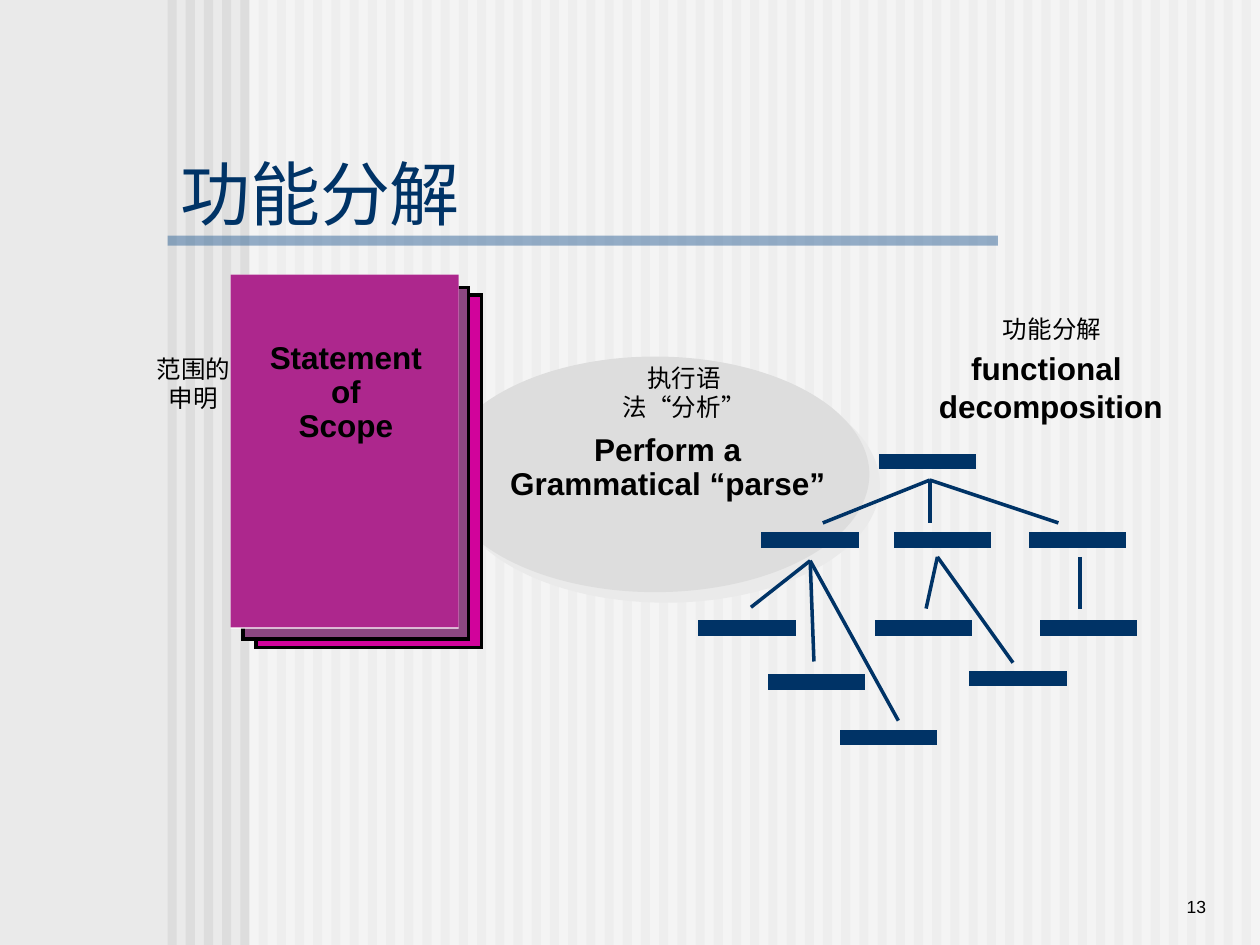
import pptx
import pptx.util
import pptx.dml.color
import pptx.enum.shapes
import pptx.enum.text
import pptx.oxml
import pptx.oxml.ns

COLORS = {"paper": "EAEAEA", "stripe": "DDDDDD", "white": "FFFFFF", "rule": "336699",
          "navy": "003366", "black": "000000", "pink": "D1039B", "plum": "8C4881",
          "magenta": "AD278D"}
COLS, ROWS = 100, 75
CJK = "Noto Sans CJK SC"
SHAPE = pptx.enum.shapes.MSO_SHAPE
ALIGN = pptx.enum.text.PP_ALIGN
ANCHOR = pptx.enum.text.MSO_ANCHOR

prs = pptx.Presentation()
prs.slide_width, prs.slide_height = pptx.util.Inches(10), pptx.util.Inches(7.5)


def col(n):
    return round(prs.slide_width * n / COLS)


def row(n):
    return round(prs.slide_height * n / ROWS)


def place(box):
    x, y, w, h = box
    return col(x), row(y), col(w), row(h)


def rgb(name):
    return pptx.dml.color.RGBColor.from_string(COLORS[name])


def sub(parent, tag, **attrs):
    el = parent.makeelement(pptx.oxml.ns.qn(tag), attrs)
    parent.append(el)
    return el


def add_block(s, box, fill, kind=SHAPE.RECTANGLE, line=None, width=1, alpha=None):
    sp = s.shapes.add_shape(kind, *place(box))
    sp.shadow.inherit = False
    sp.fill.solid()
    sp.fill.fore_color.rgb = rgb(fill)
    if alpha:
        color = sp._element.spPr.find(".//" + pptx.oxml.ns.qn("a:srgbClr"))
        sub(color, "a:alpha", val=str(alpha * 1000))
    if line:
        sp.line.color.rgb = rgb(line)
        sp.line.width = pptx.util.Pt(width)
        sub(sp._element.spPr.find(pptx.oxml.ns.qn("a:ln")), "a:miter", lim="800000")
    else:
        sp.line.fill.background()
    return sp


def add_branch(s, start, end):
    cn = s.shapes.add_connector(pptx.enum.shapes.MSO_CONNECTOR.STRAIGHT,
                                col(start[0]), row(start[1]), col(end[0]), row(end[1]))
    cn.line.color.rgb = rgb("navy")
    cn.line.width = pptx.util.Pt(2)
    sub(cn._element.spPr, "a:effectLst")


def write(tf, *paragraphs, size=18, bold=False, color="black", align=ALIGN.CENTER,
          spacing=None, anchor=ANCHOR.TOP, wrap=True, inset=(1, 0.5)):
    tf.word_wrap = wrap
    tf.vertical_anchor = anchor
    tf.auto_size = pptx.enum.text.MSO_AUTO_SIZE.NONE
    tf.margin_left = tf.margin_right = col(inset[0])
    tf.margin_top = tf.margin_bottom = row(inset[1])
    for i, runs in enumerate(paragraphs):
        p = tf.add_paragraph() if i else tf.paragraphs[0]
        p.alignment = align
        if spacing:
            p.line_spacing = spacing
        for text, font in [(runs, "Arial")] if isinstance(runs, str) else runs:
            r = p.add_run()
            r.text = text
            r.font.name = font
            r.font.size = pptx.util.Pt(size)
            r.font.bold = bold
            r.font.color.rgb = rgb(color)
            sub(r._r.get_or_add_rPr(), "a:ea", typeface=CJK)


def add_label(s, box, *paragraphs, **fmt):
    write(s.shapes.add_textbox(*place(box)).text_frame, *paragraphs, **fmt)


def add_backdrop(s, box):
    x, y, w, h = box
    s.background.fill.solid()
    s.background.fill.fore_color.rgb = rgb("paper")
    count = 60
    pitch = w / count
    for i in range(count):
        add_block(s, (x + i * pitch, y, pitch / 2, h), "stripe")
    add_block(s, (x + 6.5, y, w - 6.5, h), "white", alpha=50)


def add_title(s, box):
    x, y, w, h = box
    add_block(s, (x, y + h + 0.6, 65.9, 0.8), "rule", alpha=50)
    title = s.shapes.title
    title.left, title.top, title.width, title.height = place(box)
    write(title.text_frame, "功能分解", size=40, color="navy",
          align=ALIGN.LEFT, anchor=ANCHOR.MIDDLE)
    title._element.getparent().append(title._element)


def add_parse(s, box):
    x, y, w, h = box
    sp = add_block(s, box, "stripe", SHAPE.OVAL)
    effects = sp._element.spPr.find(pptx.oxml.ns.qn("a:effectLst"))
    shadow = sub(effects, "a:outerShdw", blurRad="0", dist="107950", dir="2700000",
                 algn="ctr", rotWithShape="0")
    sub(shadow, "a:srgbClr", val=COLORS["paper"])
    add_label(s, (x + 4.2, y + 5.7, 27.6, 6.4), "Perform a Grammatical “parse”",
              bold=True, spacing=0.9)
    add_label(s, (x + 14.2, y + 0.5, 10.2, 4.7),
              [("执行语法", "Arial"), ("“", CJK), ("分析", "Arial"), ("”", CJK)],
              size=14, inset=(0, 0))


def add_statement(s, box):
    x, y, w, h = box
    pages = [(2, 1.6, -0.2, 0.1, "white", None), (2, 1.6, -0.2, 0, "pink", "black"),
             (1, 1, -0.2, -0.1, "plum", "black"),
             (0, 0, 0, 0.1, "white", None), (0, 0, 0, 0, "magenta", None)]
    for dx, dy, dw, dh, fill, line in pages:
        add_block(s, (x + dx, y + dy, w + dw, h + dh), fill, line=line, width=2)
    add_label(s, (x + 2.1, y + 4.9, 14.1, 9.1), "Statement", "of", "Scope",
              bold=True, spacing=0.9, wrap=False)
    add_label(s, (x - 6.1, y + 6.3, 6.3, 4.7), "范围的申明", size=14, inset=(0, 0))


def add_tree(s, box):
    x, y, w, h = box
    bars = [(14.3, 0), (5, 6.2), (15.5, 6.2), (26.2, 6.2), (0, 13.2), (5.5, 17.5),
            (11.2, 21.9), (14, 13.2), (21.5, 17.2), (27.1, 13.2)]
    for dx, dy in bars:
        add_block(s, (x + dx, y + dy, 7.6, 1.1), "navy", line="navy")
    branches = {
        (18.3, 2): [(9.8, 5.4), (18.3, 5.4), (28.5, 5.4)],
        (8.8, 8.4): [(4.1, 12.1), (9.1, 16.4), (15.8, 21.1)],
        (18.9, 8.1): [(18, 12.2), (24.9, 16.5)],
        (30.2, 8.1): [(30.2, 12.2)],
    }
    for (px, py), ends in branches.items():
        for ex, ey in ends:
            add_branch(s, (x + px, y + py), (x + ex, y + ey))
    add_label(s, (x + 18, y - 8.9, 19.8, 7), "functional ", "decomposition",
              bold=True, wrap=False)
    add_label(s, (x + 22.9, y - 11.2, 10.2, 2.3), "功能分解", size=14, inset=(0, 0))


def build():
    s = prs.slides.add_slide(prs.slide_layouts[5])
    add_backdrop(s, (13.3, 0, 86.7, ROWS))
    add_label(s, (82.5, 68.3, 14.2, 5), "13", size=10, align=ALIGN.RIGHT,
              anchor=ANCHOR.BOTTOM)
    add_parse(s, (35, 28.3, 34, 18.7))
    add_title(s, (13.3, 12.5, 75.6, 5.6))
    add_statement(s, (18.3, 21.8, 18.1, 28))
    add_tree(s, (55.5, 36.1, 34.9, 23))
    prs.save("out.pptx")


if __name__ == "__main__":
    build()
